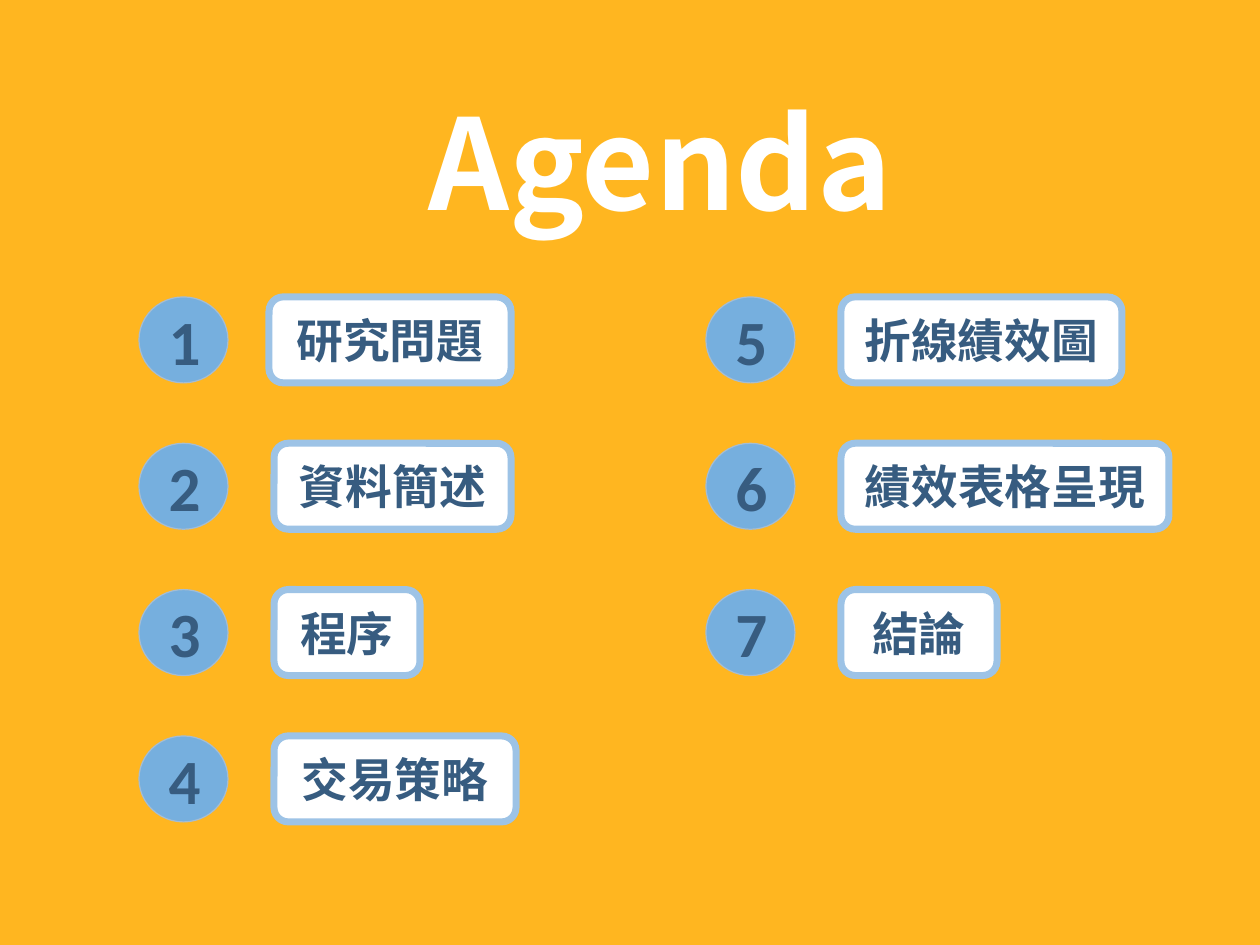
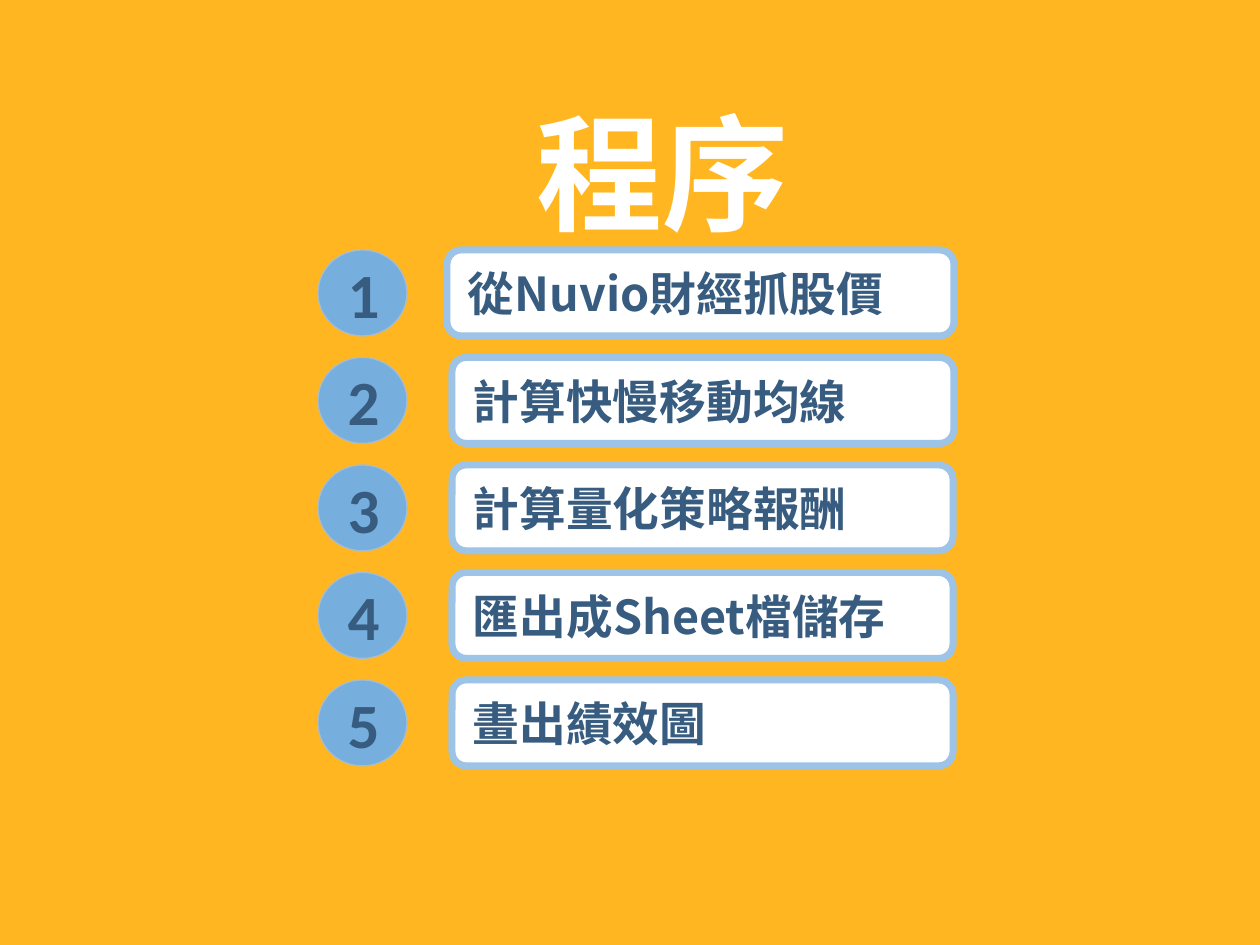
from lxml.etree import Element
from pptx import Presentation
from pptx.dml.color import RGBColor
from pptx.enum.shapes import MSO_SHAPE
from pptx.enum.text import MSO_ANCHOR, MSO_AUTO_SIZE, PP_ALIGN
from pptx.oxml.ns import qn
from pptx.util import Emu, Pt

PX_PER_INCH = 168
SLIDE_W, SLIDE_H = 1260, 945
CIRCLE_W, ROW_H = 89, 86
TITLE_W, TITLE_H = 716, 170

ORANGE, WHITE, NAVY = "FFB620", "FFFFFF", "375C80"
CIRCLE_FILL, CIRCLE_LINE, BOX_LINE = "76AFDE", "A6BDD2", "9DC3E6"
CJK_FONT, NUMBER_FONT = "Noto Sans CJK SC", "Calibri"

# Row tops are spread evenly from "top" to "bottom" over "rows" rows.
# A column is its circle's left and its items: (text, box left, box width).
SLIDES = [
    {
        "title": ("Agenda", 302, 76),
        "top": 297, "bottom": 736, "rows": 4, "align": PP_ALIGN.CENTER,
        "columns": [
            (139, [("研究問題", 269, 242), ("資料簡述", 274, 237),
                   ("程序", 274, 146), ("交易策略", 274, 242)]),
            (706, [("折線績效圖", 841, 281), ("績效表格呈現", 841, 328),
                   ("結論", 841, 156)]),
        ],
    },
    {
        "title": ("程序", 304, 87),
        "top": 250, "bottom": 680, "rows": 5, "align": PP_ALIGN.LEFT,
        "columns": [
            (318, [("從Nuvio財經抓股價", 447, 507), ("計算快慢移動均線", 452, 502),
                   ("計算量化策略報酬", 452, 501), ("匯出成Sheet檔儲存", 452, 501),
                   ("畫出績效圖", 452, 501)]),
        ],
    },
]


def px(*values):
    """Turn pixels into a list of EMU lengths."""
    return [Emu(round(v * 914400 / PX_PER_INCH)) for v in values]


def rgb(color):
    return RGBColor.from_string(color)


def write(sp, text, size, font, color, align):
    tf = sp.text_frame
    tf.word_wrap = True
    p = tf.paragraphs[0]
    p.text = text
    p.alignment = align
    p.font.size = Pt(size)
    p.font.bold = True
    p.font.name = font
    p.font.color.rgb = rgb(color)
    for latin in p._p.findall(".//" + qn("a:latin")):
        latin.addnext(Element(qn("a:ea"), typeface=font))
    return tf


def add_label(shapes, kind, at, fill, line, line_width):
    sp = shapes.add_shape(kind, *px(*at))
    sp.shadow.inherit = False
    sp.fill.solid()
    sp.fill.fore_color.rgb = rgb(fill)
    sp.line.color.rgb = rgb(line)
    sp.line.width = Pt(line_width)
    sp.text_frame.vertical_anchor = MSO_ANCHOR.MIDDLE
    return sp


def add_item(s, number, text, circle_left, box_left, box_width, top, align):
    """Group a numbered circle with its text box."""
    shapes = s.shapes.add_group_shape().shapes
    circle = add_label(shapes, MSO_SHAPE.FLOWCHART_CONNECTOR,
                       (circle_left, top, CIRCLE_W, ROW_H),
                       CIRCLE_FILL, CIRCLE_LINE, 0.5)
    write(circle, str(number), 27, NUMBER_FONT, NAVY, PP_ALIGN.LEFT)
    box = add_label(shapes, MSO_SHAPE.ROUNDED_RECTANGLE,
                    (box_left, top, box_width, ROW_H), WHITE, BOX_LINE, 3)
    write(box, text, 20, CJK_FONT, NAVY, align)


def add_list_slide(prs, content):
    s = prs.slides.add_slide(prs.slide_layouts[6])
    s.background.fill.solid()
    s.background.fill.fore_color.rgb = rgb(ORANGE)

    title, left, top = content["title"]
    sp = s.shapes.add_textbox(*px(left, top, TITLE_W, TITLE_H))
    tf = write(sp, title, 54, CJK_FONT, WHITE, PP_ALIGN.CENTER)
    tf.auto_size = MSO_AUTO_SIZE.SHAPE_TO_FIT_TEXT

    pitch = (content["bottom"] - content["top"]) / (content["rows"] - 1)
    number = 0
    for circle_left, items in content["columns"]:
        for row, (text, box_left, box_width) in enumerate(items):
            number += 1
            add_item(s, number, text, circle_left, box_left, box_width,
                     content["top"] + row * pitch, content["align"])


def main():
    prs = Presentation()
    prs.slide_width, prs.slide_height = px(SLIDE_W, SLIDE_H)
    for content in SLIDES:
        add_list_slide(prs, content)
    prs.save("out.pptx")


if __name__ == "__main__":
    main()
